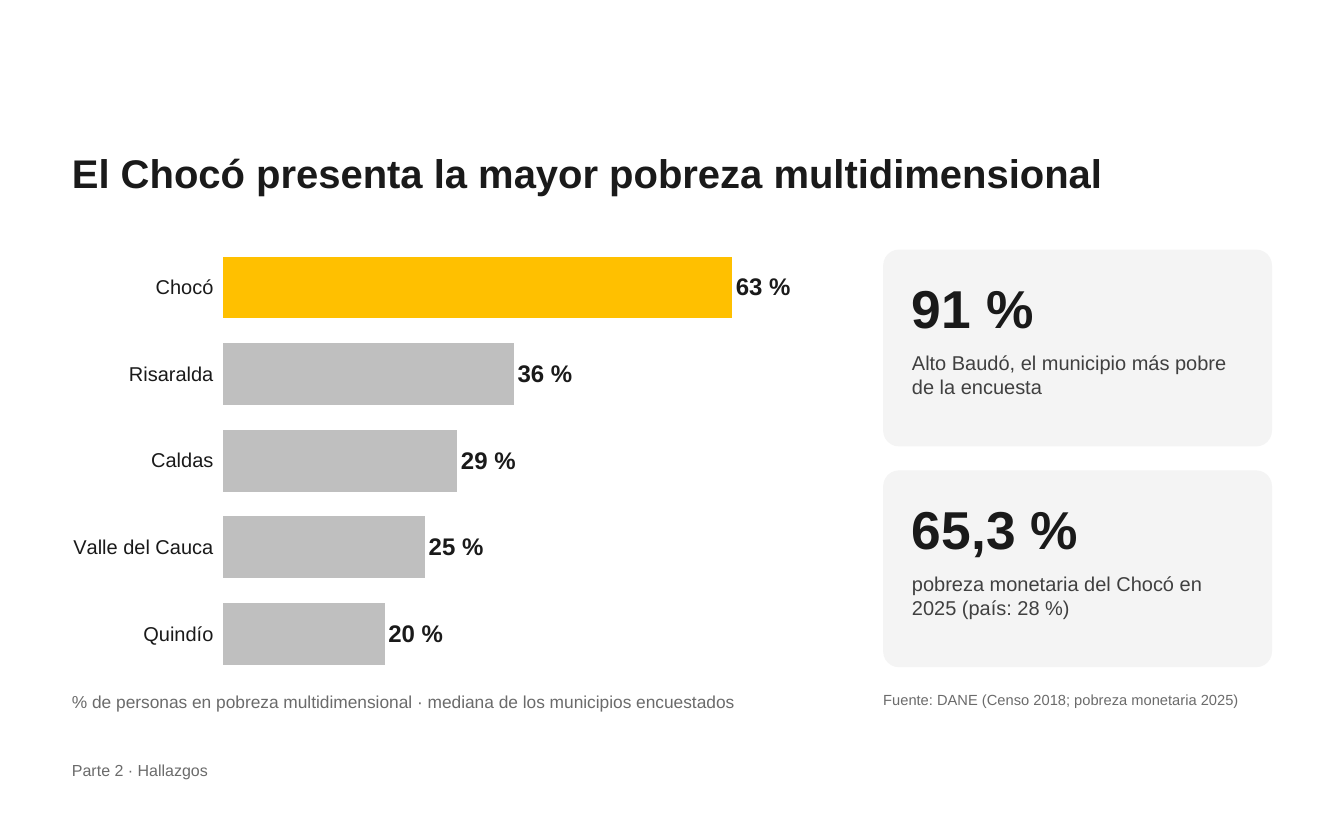
import pptx
import pptx.chart.data
import pptx.dml.color
import pptx.enum.chart
import pptx.enum.shapes
import pptx.enum.text
import pptx.util

Pt = pptx.util.Pt
FONT = "Arial"
INK, BODY, MUTED = "1A1A1A", "404040", "6B6B6B"
CARD, BAR, HIGHLIGHT = "F4F4F4", "BFBFBF", "FFC000"


def color(hex_string):
    return pptx.dml.color.RGBColor.from_string(hex_string)


def add_text(text, left, top, width, height, size, ink, bold=False, middle=False):
    box = slide.shapes.add_textbox(Pt(left), Pt(top), Pt(width), Pt(height))
    frame = box.text_frame
    frame.word_wrap = True
    frame.auto_size = pptx.enum.text.MSO_AUTO_SIZE.SHAPE_TO_FIT_TEXT
    frame.margin_left = frame.margin_top = frame.margin_right = frame.margin_bottom = 0
    if middle:
        frame.vertical_anchor = pptx.enum.text.MSO_ANCHOR.MIDDLE
    paragraph = frame.paragraphs[0]
    paragraph.text = text
    font = paragraph.font
    font.name, font.size, font.bold = FONT, Pt(size), bold
    font.color.rgb = color(ink)


presentation = pptx.Presentation()
presentation.slide_width, presentation.slide_height = Pt(1008), Pt(612)
slide = presentation.slides.add_slide(presentation.slide_layouts[6])

margin = 54
add_text("El Chocó presenta la mayor pobreza multidimensional",
         margin, 102.24, 900, 54, 30, INK, bold=True, middle=True)
add_text("Parte 2 · Hallazgos", margin, 570.24, 648, 25.2, 12, MUTED)

# Poverty by department, listed from the bottom bar up
poverty = {"Quindío": 20, "Valle del Cauca": 25, "Caldas": 29, "Risaralda": 36, "Chocó": 63}
poverty_data = pptx.chart.data.CategoryChartData()
poverty_data.categories = list(poverty)
poverty_data.add_series("Pobreza multidimensional", list(poverty.values()))
chart = slide.shapes.add_chart(
    pptx.enum.chart.XL_CHART_TYPE.BAR_CLUSTERED,
    Pt(43.2), Pt(176.4), Pt(590.4), Pt(338.4), poverty_data).chart
chart.has_legend = False
chart.has_title = False
chart.font.name, chart.font.size = FONT, Pt(14)
chart.font.color.rgb = color(BODY)

departments = chart.category_axis
departments.format.line.fill.background()
departments.tick_labels.font.name = FONT
departments.tick_labels.font.size = Pt(15)
departments.tick_labels.font.color.rgb = color(INK)

percent = chart.value_axis
percent.minimum_scale, percent.maximum_scale = 0, 75
percent.has_major_gridlines = False
percent.visible = False

plot = chart.plots[0]
plot.gap_width = 40
plot.vary_by_categories = False
bars = plot.series[0]
for index, department in enumerate(poverty):
    fill = bars.points[index].format.fill
    fill.solid()
    fill.fore_color.rgb = color(HIGHLIGHT if department == "Chocó" else BAR)

labels = bars.data_labels
labels.show_value = True
labels.position = pptx.enum.chart.XL_LABEL_POSITION.OUTSIDE_END
labels.number_format = '0" %"'
labels.number_format_is_linked = False
labels.font.name, labels.font.size, labels.font.bold = FONT, Pt(18), True
labels.font.color.rgb = color(INK)

add_text("% de personas en pobreza multidimensional · mediana de los municipios encuestados",
         margin, 518.4, 576, 28.8, 13, MUTED)

# Key figures
card_left, card_width, card_height = 662.4, 291.6, 147.6
key_figures = [
    ("91 %", "Alto Baudó, el municipio más pobre de la encuesta"),
    ("65,3 %", "pobreza monetaria del Chocó en 2025 (país: 28 %)"),
]
for index, (figure, meaning) in enumerate(key_figures):
    card_top = 187.2 + index * (card_height + 18)
    card = slide.shapes.add_shape(
        pptx.enum.shapes.MSO_SHAPE.ROUNDED_RECTANGLE,
        Pt(card_left), Pt(card_top), Pt(card_width), Pt(card_height))
    card.adjustments[0] = 0.08
    card.shadow.inherit = False
    card.fill.solid()
    card.fill.fore_color.rgb = color(CARD)
    card.line.fill.background()
    text_left = card_left + 21.6
    add_text(figure, text_left, card_top + 14.4, 252, 57.6, 40, INK, bold=True, middle=True)
    add_text(meaning, text_left, card_top + 75.6, 252, 64.8, 15, BODY)

add_text("Fuente: DANE (Censo 2018; pobreza monetaria 2025)",
         card_left, 518.4, card_width, 28.8, 11, MUTED)

presentation.save("out.pptx")
